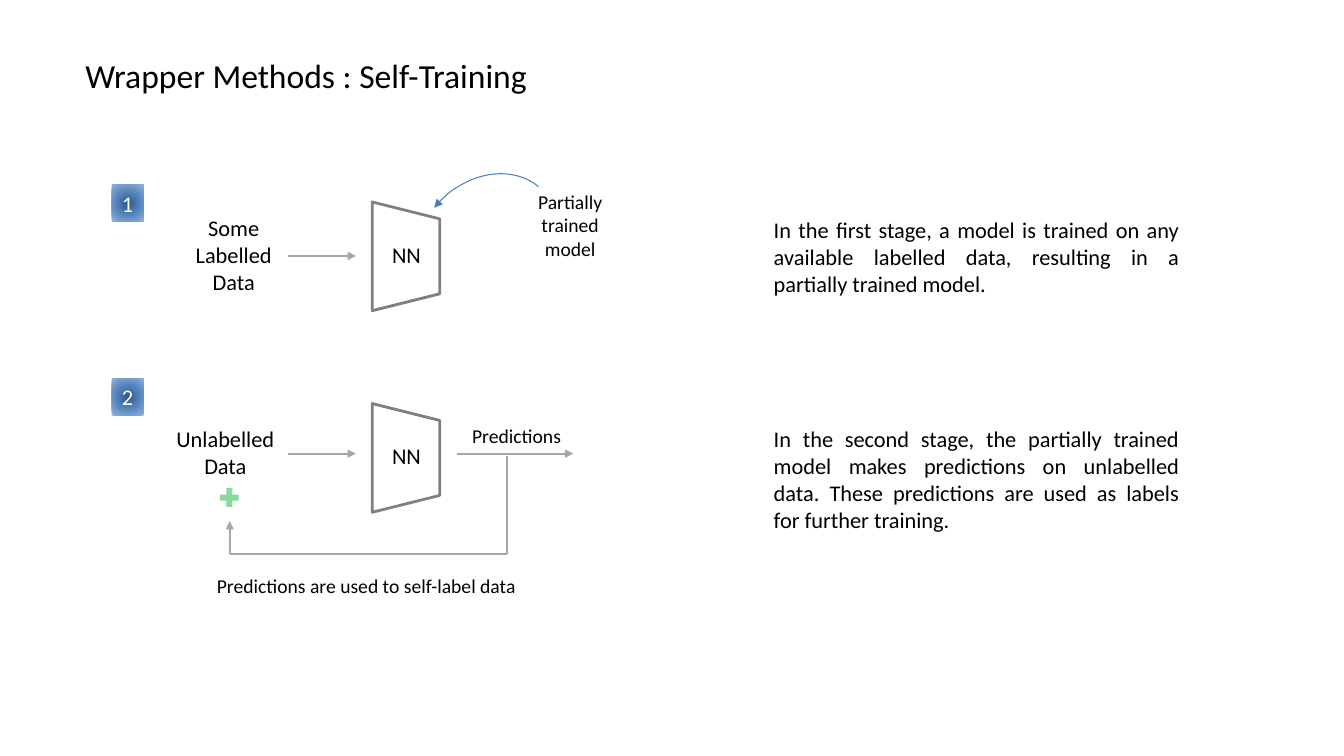
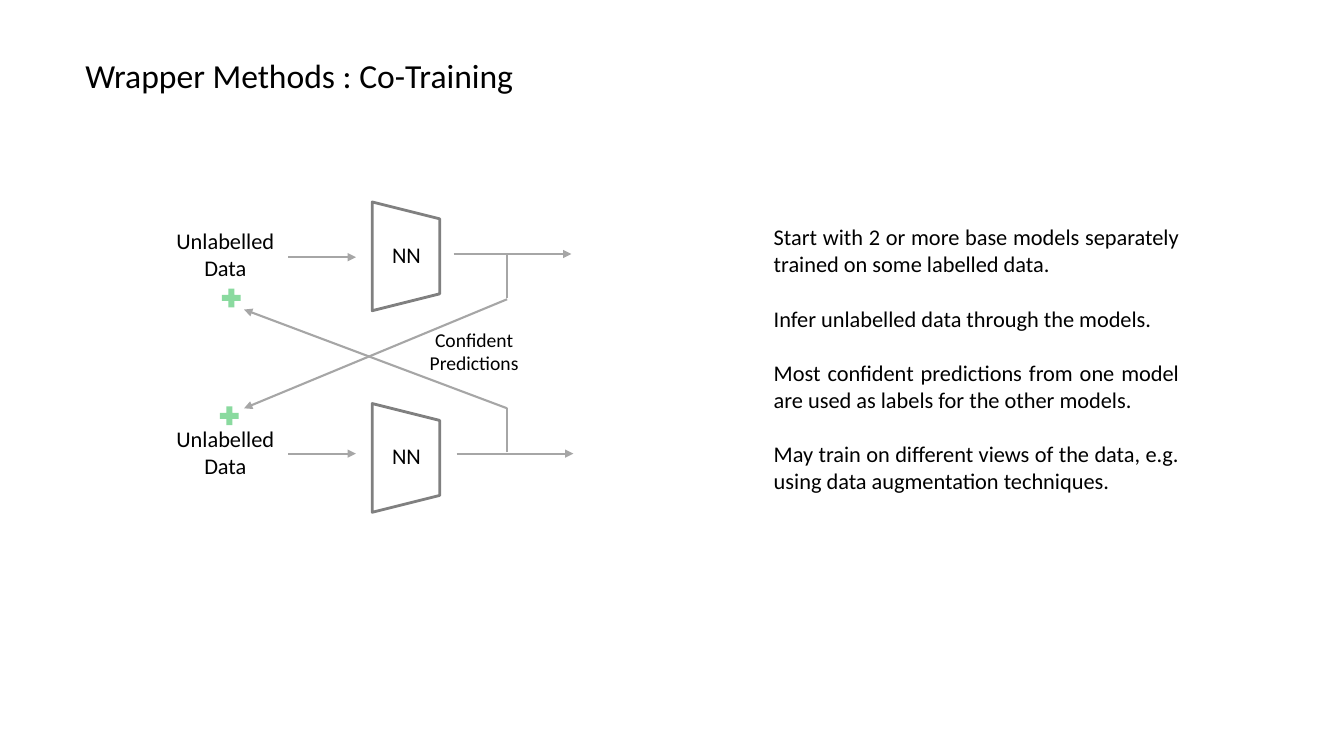
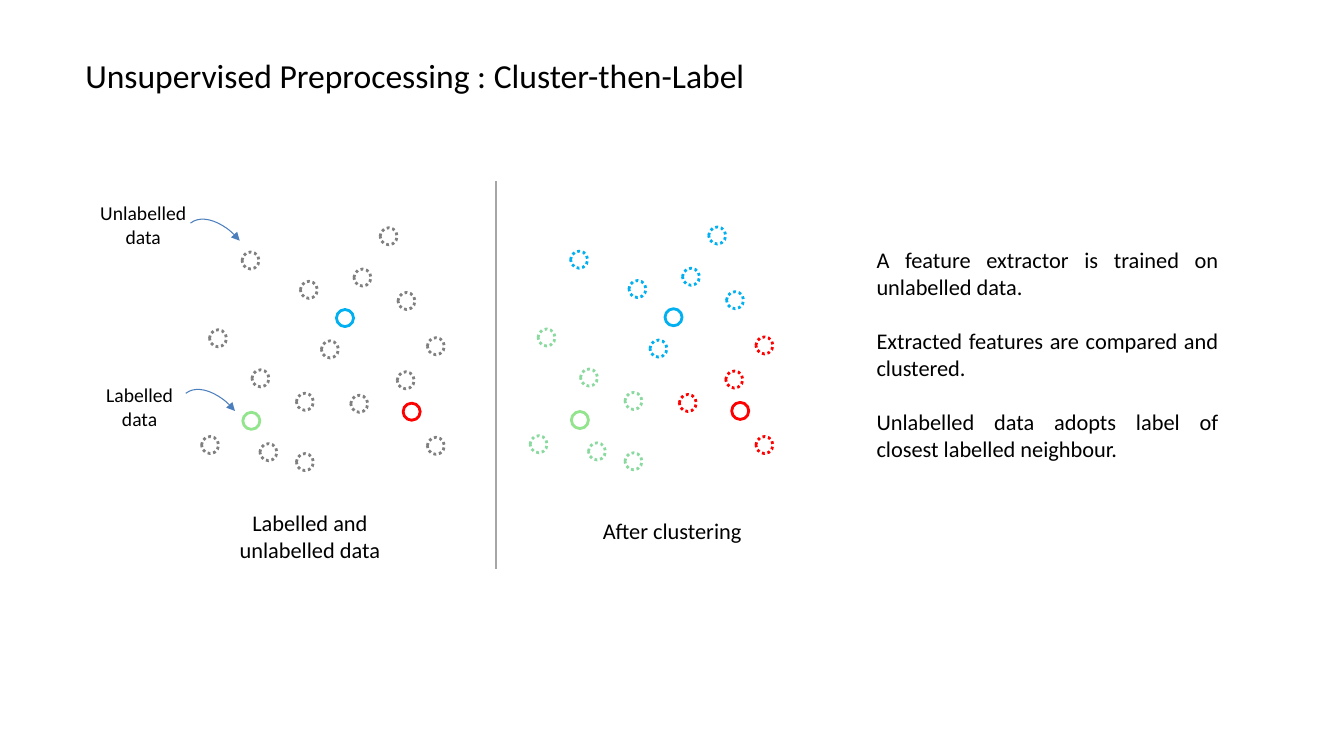
"""Build three slides on semi-supervised learning methods."""
from dataclasses import dataclass

from lxml import etree
from pptx import Presentation
from pptx import util as u
from pptx.dml.color import RGBColor
from pptx.enum import dml, shapes, text
from pptx.oxml import parse_xml
from pptx.oxml.ns import nsdecls, qn


@dataclass(frozen=True)
class Theme:
    font: str = "Calibri"
    title: int = 24
    body: int = 16
    small: int = 14
    blank_line: float = 19.5
    black: str = "000000"
    white: str = "FFFFFF"
    outline: str = "808080"
    link: str = "A6A6A6"
    curve: str = "4B7EBC"
    mint: str = "8ADA9F"
    lime: str = "93E58D"
    blue: str = "00B0F0"
    red: str = "FF0000"
    badge: tuple = ((0, "315683"), (48, "5485BF"), (100, "95B3D7"))


THEME = Theme()
LEFT, CENTER, JUSTIFY = (
    text.PP_ALIGN.LEFT, text.PP_ALIGN.CENTER, text.PP_ALIGN.JUSTIFY)
KIND = shapes.MSO_SHAPE

NETWORK_TOPS = (5.61, 10.69)
BRANCH = 12.78
LOWER_INPUT = (7.26, 11.43, 8.97, 11.43, True)
LOWER_OUTPUT = (11.51, 11.43, 14.45, 11.43, True)
LOWER_LABEL = ("Unlabelled Data", (4.09, 10.59, 3.18, 1.63), THEME.body)

SELF_TRAINING = {
    "title": ("Wrapper Methods : Self-Training", 11.68),
    "networks": NETWORK_TOPS,
    "badges": [("1", 4.65), ("2", 9.53)],
    "links": [
        (7.26, 6.45, 8.97, 6.45, True), LOWER_INPUT, LOWER_OUTPUT,
        (5.79, 13.97, 5.79, 13.13, True),
        (5.79, 13.97, BRANCH, 13.97, False),
        (BRANCH, 13.97, BRANCH, 11.48, False),
    ],
    "pluses": [(5.46, 12.22)],
    "arcs": [((10.16, 4.62, 4.17, 3.38), 309.6, (270, 0), "headEnd")],
    "labels": [
        ("Some Labelled Data", (4.52, 5.28, 2.74, 2.31), THEME.body),
        LOWER_LABEL,
        ("Predictions", (11.43, 10.57, 3.18, 0.86), THEME.small),
        ("Partially trained model", (12.78, 4.65, 3.18, 2.06), THEME.small),
        ("Predictions are used to self-label data",
         (4.88, 14.33, 8.71, 0.86), THEME.small),
    ],
    "bodies": [
        (["In the first stage, a model is trained on any available labelled "
          "data, resulting in a partially trained model."],
         (19.25, 5.33, 10.72, 2.31)),
        (["In the second stage, the partially trained model makes predictions "
          "on unlabelled data. These predictions are used as labels for "
          "further training."], (19.25, 10.59, 10.72, 3)),
    ],
}

CO_TRAINING = {
    "title": ("Wrapper Methods : Co-Training", 11.3),
    "networks": NETWORK_TOPS,
    "links": [
        LOWER_INPUT, LOWER_OUTPUT,
        (7.26, 6.48, 8.97, 6.48, True), (11.43, 6.4, 14.4, 6.4, True),
        (BRANCH, 7.52, BRANCH, 6.4, False),
        (BRANCH, 11.4, BRANCH, 10.29, False),
        (BRANCH, 7.54, 6.15, 10.29, True), (BRANCH, 10.29, 6.15, 7.8, True),
    ],
    "pluses": [(5.46, 10.16), (5.51, 7.19)],
    "labels": [
        ("Unlabelled Data", (4.09, 5.61, 3.18, 1.63), THEME.body),
        LOWER_LABEL,
        ("Confident Predictions", (10.36, 8.13, 3.18, 1.45), THEME.small),
    ],
    "bodies": [
        (["Start with 2 or more base models separately trained on some "
          "labelled data.",
          "Infer unlabelled data through the models.",
          "Most confident predictions from one model are used as labels for "
          "the other models.",
          "May train on different views of the data, e.g. using data "
          "augmentation techniques."], (19.25, 5.51, 10.72, 7.09)),
    ],
}

CLUSTER_THEN_LABEL = {
    "title": ("Unsupervised Preprocessing : Cluster-then-Label", 17.45),
    "divider": (12.5, 14.33, 12.5, 4.57, False),
    "clusters": [
        (THEME.blue, THEME.blue, (8.48, 7.8),
         [(7.57, 7.09), (9.58, 5.74), (8.92, 6.78), (10.03, 7.37),
          (8.1, 8.59), (6.1, 6.35)]),
        (THEME.lime, THEME.mint, (6.12, 10.39),
         [(5.08, 11), (6.35, 9.32), (7.47, 9.91), (7.47, 11.43),
          (6.55, 11.18), (5.28, 8.31)]),
        (THEME.red, THEME.red, (10.16, 10.16),
         [(8.84, 9.96), (10.77, 8.51), (10.77, 11.02), (10.01, 9.37)]),
    ],
    "arcs": [((4.27, top, 2.26, 1.35), 50.5, (180, 270), "tailEnd")
             for top in (10.11,)]
            + [((4.39, 5.82, 2.26, 1.35), 50.5, (180, 270), "tailEnd")],
    "labels": [
        ("Unlabelled data", (2.16, 4.95, 2.9, 1.45), THEME.small),
        ("Labelled data", (2.39, 9.53, 2.26, 1.45), THEME.small),
        ("Labelled and unlabelled data", (4.85, 12.7, 5.92, 1.63), THEME.body),
        ("After clustering", (13.79, 12.9, 6.3, 0.94), THEME.body),
    ],
    "bodies": [
        (["A feature extractor is trained on unlabelled data.",
          "Extracted features are compared and clustered.",
          "Unlabelled data adopts label of closest labelled neighbour."],
         (21.84, 6.07, 9.12, 5.74)),
    ],
}


def lengths(values):
    return [u.Cm(value) for value in values]


def apply(target, formats):
    for name, value in formats.items():
        setattr(target, name, value)


def write(shape, paragraphs, size, align, color=THEME.black, wrap=True):
    frame = shape.text_frame
    apply(frame, {"word_wrap": wrap,
                  "auto_size": text.MSO_AUTO_SIZE.SHAPE_TO_FIT_TEXT})
    for index, words in enumerate(paragraphs):
        paragraph = frame.add_paragraph() if index else frame.paragraphs[0]
        paragraph.alignment = align
        if index:
            paragraph.space_before = u.Pt(THEME.blank_line)
        run = paragraph.add_run()
        run.text = words
        apply(run.font, {"name": THEME.font, "size": u.Pt(size)})
        run.font.color.rgb = RGBColor.from_string(color)


def add_text(slide, paragraphs, box, size, align, wrap=True):
    write(slide.shapes.add_textbox(*lengths(box)), paragraphs, size, align,
          wrap=wrap)


def add_shape(slide, kind, box, fill=None, line=None, width=2):
    shape = slide.shapes.add_shape(kind, *lengths(box))
    shape.shadow.inherit = False
    for part, color in ((shape.fill, fill), (shape.line.fill, line)):
        if color:
            part.solid()
            part.fore_color.rgb = RGBColor.from_string(color)
        else:
            part.background()
    if line:
        shape.line.width = u.Pt(width)
    return shape


def add_arrowhead(shape, end):
    outline = shape._element.spPr.find(qn("a:ln"))
    etree.SubElement(outline, qn(f"a:{end}"), type="triangle")


def add_link(slide, x1, y1, x2, y2, arrow, width=1.5):
    connector = slide.shapes.add_connector(
        shapes.MSO_CONNECTOR.STRAIGHT, *lengths((x1, y1, x2, y2)))
    connector.line.color.rgb = RGBColor.from_string(THEME.link)
    connector.line.width = u.Pt(width)
    if arrow:
        add_arrowhead(connector, "tailEnd")
    etree.SubElement(connector._element.spPr, qn("a:effectLst"))


def add_arc(slide, box, rotation, angles, end):
    arc = add_shape(slide, KIND.ARC, box, line=THEME.curve, width=0.75)
    arc.rotation = rotation
    for index, angle in enumerate(angles):
        arc.adjustments[index] = angle * 0.6
    add_arrowhead(arc, end)


def add_network(slide, top):
    trapezoid = add_shape(slide, KIND.TRAPEZOID, (8.86, top, 2.74, 1.7),
                          line=THEME.outline)
    trapezoid.rotation = 90
    add_text(slide, ["NN"], (9.63, top + 0.33, 1.24, 0.94), THEME.body, LEFT,
             wrap=False)


def add_badge(slide, number, top):
    badge = add_shape(slide, KIND.RECTANGLE, (2.82, top, 0.81, 0.94))
    stops = "".join(
        f'<a:gs pos="{position * 1000}"><a:srgbClr val="{color}"/></a:gs>'
        for position, color in THEME.badge)
    gradient = parse_xml(
        f'<a:gradFill {nsdecls("a")}><a:gsLst>{stops}</a:gsLst>'
        '<a:path path="circle"><a:fillToRect l="50000" t="50000" r="50000" '
        'b="50000"/></a:path></a:gradFill>')
    properties = badge._element.spPr
    properties.replace(properties.find(qn("a:noFill")), gradient)
    write(badge, [number], THEME.body, LEFT, THEME.white, wrap=False)


def add_point(slide, x, y, color, dotted):
    circle = add_shape(slide, KIND.OVAL, (x, y, 0.43, 0.43), line=color)
    if dotted:
        circle.line.dash_style = dml.MSO_LINE.ROUND_DOT


def add_scatter(slide, clusters, shift_x, shift_y, clustered):
    for label_color, cluster_color, labelled, unlabelled in clusters:
        dotted_color = cluster_color if clustered else THEME.outline
        points = [(labelled, label_color, False)]
        points += [(point, dotted_color, True) for point in unlabelled]
        for (x, y), color, dotted in points:
            add_point(slide, x + shift_x, y + shift_y, color, dotted)


def add_slide(presentation, content):
    slide = presentation.slides.add_slide(presentation.slide_layouts[6])
    title, width = content["title"]
    add_text(slide, [title], (1.9, 1.27, width, 1.27), THEME.title, LEFT,
             wrap=False)
    for top in content.get("networks", ()):
        add_network(slide, top)
    for number, top in content.get("badges", ()):
        add_badge(slide, number, top)
    for link in content.get("links", ()):
        add_link(slide, *link)
    for x, y in content.get("pluses", ()):
        add_shape(slide, KIND.MATH_PLUS, (x, y, 0.64, 0.64), fill=THEME.mint)
    if "clusters" in content:
        add_scatter(slide, content["clusters"], 0, 0, False)
        add_scatter(slide, content["clusters"], 8.28, -0.02, True)
        add_link(slide, *content["divider"], width=1)
    for arc in content["arcs"] if "arcs" in content else ():
        add_arc(slide, *arc)
    for words, box, size in content["labels"]:
        add_text(slide, [words], box, size, CENTER)
    for paragraphs, box in content["bodies"]:
        add_text(slide, paragraphs, box, THEME.body, JUSTIFY)


def main():
    presentation = Presentation()
    apply(presentation, {"slide_width": u.Cm(33.87),
                         "slide_height": u.Cm(19.05)})
    for content in (SELF_TRAINING, CO_TRAINING, CLUSTER_THEN_LABEL):
        add_slide(presentation, content)
    presentation.save("out.pptx")


if __name__ == "__main__":
    main()
